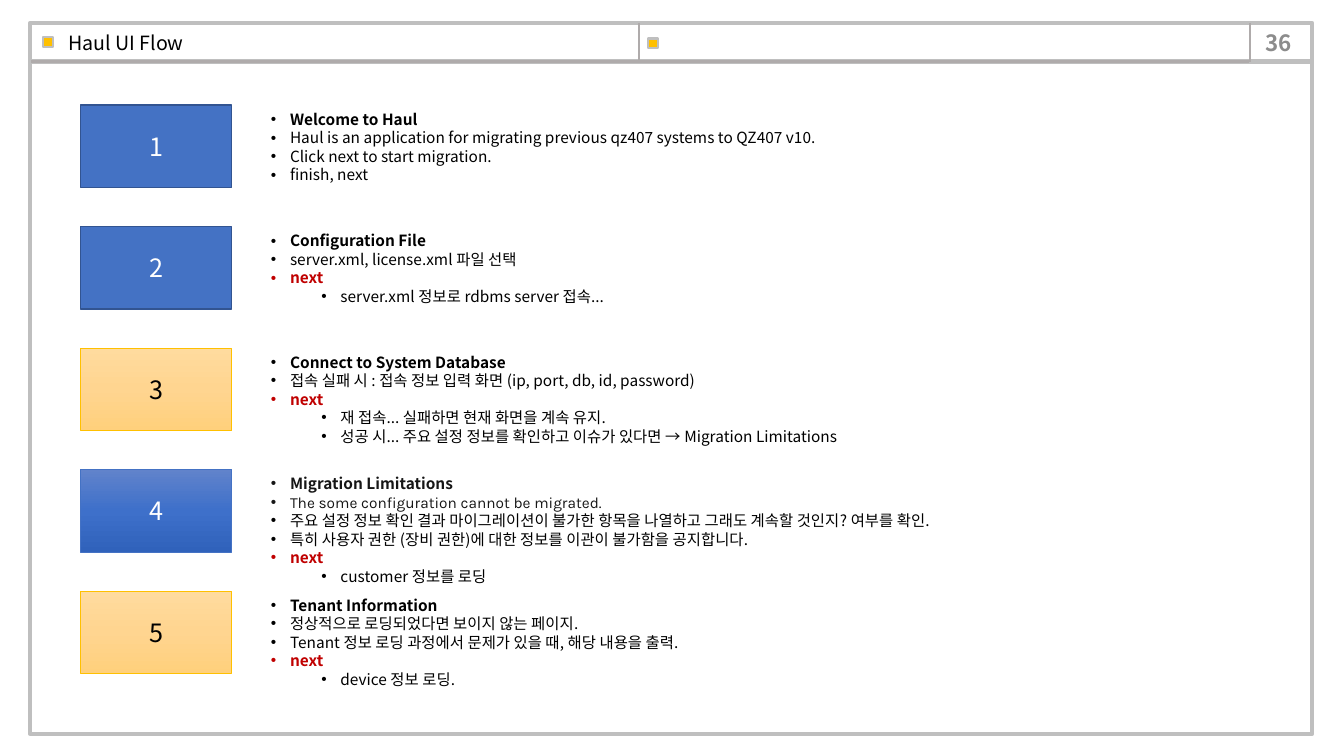
from copy import deepcopy
from dataclasses import dataclass

from lxml.etree import SubElement
from pptx import Presentation
from pptx.dml.color import RGBColor
from pptx.enum.shapes import MSO_CONNECTOR, MSO_SHAPE
from pptx.enum.text import MSO_ANCHOR, PP_ALIGN
from pptx.oxml.ns import qn
from pptx.util import Cm, Pt

FONT = "Noto Sans CJK KR"
WHITE = RGBColor(0xFF, 0xFF, 0xFF)
BLACK = RGBColor(0x00, 0x00, 0x00)
INK = RGBColor(0x16, 0x16, 0x16)
RED = RGBColor(0xC0, 0x00, 0x00)
GRAY = RGBColor(0x8C, 0x8C, 0x8C)
FRAME = RGBColor(0xBF, 0xBF, 0xBF)
RULE = RGBColor(0xAF, 0xAB, 0xAB)
GOLD = RGBColor(0xFF, 0xC0, 0x00)
BLUE = RGBColor(0x44, 0x72, 0xC4)
NAVY = RGBColor(0x32, 0x54, 0x91)
AMBER = (RGBColor(0xFF, 0xDB, 0x9E), RGBColor(0xFF, 0xD5, 0x90), RGBColor(0xFF, 0xD0, 0x7C))
AZURE = (RGBColor(0x61, 0x83, 0xCB), RGBColor(0x3E, 0x70, 0xCA), RGBColor(0x30, 0x62, 0xBB))


@dataclass
class Look:
    fill: tuple
    line: RGBColor
    width: float
    ink: RGBColor


@dataclass
class Item:
    text: str
    bold: bool = False
    color: RGBColor = BLACK
    level: int = 0
    font: str = FONT


@dataclass
class Step:
    look: Look
    width: float
    items: list


PLAIN = Look((BLUE,), NAVY, 1, WHITE)
WARM = Look(AMBER, GOLD, 0.5, BLACK)
COOL = Look(AZURE, BLUE, 0.5, WHITE)
NEXT = Item("next", True, RED)

STEPS = [
    Step(PLAIN, 16.84, [
        Item("Welcome to Haul", True),
        Item("Haul is an application for migrating previous qz407 systems to QZ407 v10."),
        Item("Click next to start migration."),
        Item("finish, next"),
    ]),
    Step(PLAIN, 16.84, [
        Item("Configuration File", True),
        Item("server.xml, license.xml 파일 선택"),
        NEXT,
        Item("server.xml 정보로 rdbms server 접속...", level=1),
    ]),
    Step(WARM, 19.3, [
        Item("Connect to System Database", True),
        Item("접속 실패 시 : 접속 정보 입력 화면 (ip, port, db, id, password)"),
        NEXT,
        Item("재 접속... 실패하면 현재 화면을 계속 유지.", level=1),
        Item("성공 시... 주요 설정 정보를 확인하고 이슈가 있다면 → Migration Limitations", level=1),
    ]),
    Step(COOL, 19.94, [
        Item("Migration Limitations", True, INK),
        Item("The some configuration cannot be migrated.", color=INK, font="Karla"),
        Item("주요 설정 정보 확인 결과 마이그레이션이 불가한 항목을 나열하고 그래도 계속할 것인지? 여부를 확인."),
        Item("특히 사용자 권한 (장비 권한)에 대한 정보를 이관이 불가함을 공지합니다."),
        NEXT,
        Item("customer 정보를 로딩", level=1),
    ]),
    Step(WARM, 20.8, [
        Item("Tenant Information", True),
        Item("정상적으로 로딩되었다면 보이지 않는 페이지."),
        Item("Tenant 정보 로딩 과정에서 문제가 있을 때, 해당 내용을 출력."),
        NEXT,
        Item("device 정보 로딩.", level=1),
    ]),
]


def style(para, size: float, color: RGBColor, bold: bool = False, name: str = FONT) -> None:
    font = para.font
    font.size, font.bold, font.name = Pt(size), bold, name
    font.color.rgb = color
    SubElement(font._element, qn("a:ea")).set("typeface", FONT)


def add_rect(shapes, x: float, y: float, w: float, h: float, look: Look):
    rect = shapes.add_shape(MSO_SHAPE.RECTANGLE, Cm(x), Cm(y), Cm(w), Cm(h))
    rect.shadow.inherit = False
    rect.line.color.rgb = look.line
    rect.line.width = Pt(look.width)
    fill = rect.fill
    if len(look.fill) == 1:
        fill.solid()
        fill.fore_color.rgb = look.fill[0]
    elif look.fill:
        fill.gradient()
        fill.gradient_angle = 270
        stops = next(rect._element.iter(qn("a:gsLst")))
        stops.append(deepcopy(stops[0]))
        for i, (stop, color) in enumerate(zip(fill.gradient_stops, look.fill)):
            stop.position = i / 2
            stop.color.rgb = color
    else:
        fill.background()
    return rect


def add_rule(shapes, x1: float, y1: float, x2: float, y2: float) -> None:
    rule = shapes.add_connector(MSO_CONNECTOR.STRAIGHT, Cm(x1), Cm(y1), Cm(x2), Cm(y2))
    rule.line.color.rgb = RULE
    rule.line.width = Pt(1.5)
    SubElement(rule._element.spPr, qn("a:effectLst"))


def add_text(shapes, x: float, y: float, w: float, h: float, anchor=MSO_ANCHOR.TOP):
    frame = shapes.add_textbox(Cm(x), Cm(y), Cm(w), Cm(h)).text_frame
    frame.word_wrap = True
    frame.vertical_anchor = anchor
    return frame


def add_items(frame, items: list) -> None:
    for i, item in enumerate(items):
        para = frame.add_paragraph() if i else frame.paragraphs[0]
        para.text = item.text
        para.level = item.level
        props = para._p.get_or_add_pPr()
        props.set("marL", str(Cm(0.48 + 1.27 * item.level)))
        props.set("indent", str(-Cm(0.48)))
        SubElement(props, qn("a:buFont")).set("typeface", "Arial")
        SubElement(props, qn("a:buChar")).set("char", "•")
        style(para, 11, item.color, item.bold, item.font)


def main() -> None:
    deck = Presentation()
    deck.slide_width, deck.slide_height = Cm(33.87), Cm(19.05)
    shapes = deck.slides.add_slide(deck.slide_layouts[6]).shapes

    # Page frame and header
    add_rect(shapes, 0.76, 1.55, 32.31, 16.94, Look((WHITE,), FRAME, 3, BLACK))
    add_rect(shapes, 0.76, 0.58, 32.31, 0.97, Look((), FRAME, 3, BLACK))
    add_rule(shapes, 0.79, 1.55, 31.47, 1.55)
    for x, y in ((1.09, 0.94), (16.33, 0.97)):
        add_rect(shapes, x, y, 0.25, 0.25, Look((GOLD,), FRAME, 1.5, BLACK))
    for x in (31.5, 16.1):
        add_rule(shapes, x, 1.55, x, 0.58)

    # Page number and title
    para = add_text(shapes, 31.34, 0.61, 1.75, 0.91, MSO_ANCHOR.MIDDLE).paragraphs[0]
    para.text = "36"
    para.alignment = PP_ALIGN.CENTER
    style(para, 16, GRAY, True)
    para = add_text(shapes, 1.47, 0.69, 14.43, 0.81, MSO_ANCHOR.BOTTOM).paragraphs[0]
    para.text = "Haul UI Flow"
    para.line_spacing = 0.9
    style(para, 14, BLACK)

    # Numbered steps with their notes
    for i, step in enumerate(STEPS):
        top = 2.65 + 3.06 * i
        box = add_rect(shapes, 2.03, top, 3.81, 2.08, step.look)
        box.text_frame.vertical_anchor = MSO_ANCHOR.MIDDLE
        para = box.text_frame.paragraphs[0]
        para.text = str(i + 1)
        para.alignment = PP_ALIGN.CENTER
        style(para, 18, step.look.ink)
        height = 0.25 + 0.47 * len(step.items)
        add_items(add_text(shapes, 6.58, top, step.width, height), step.items)

    deck.save("out.pptx")


if __name__ == "__main__":
    main()
